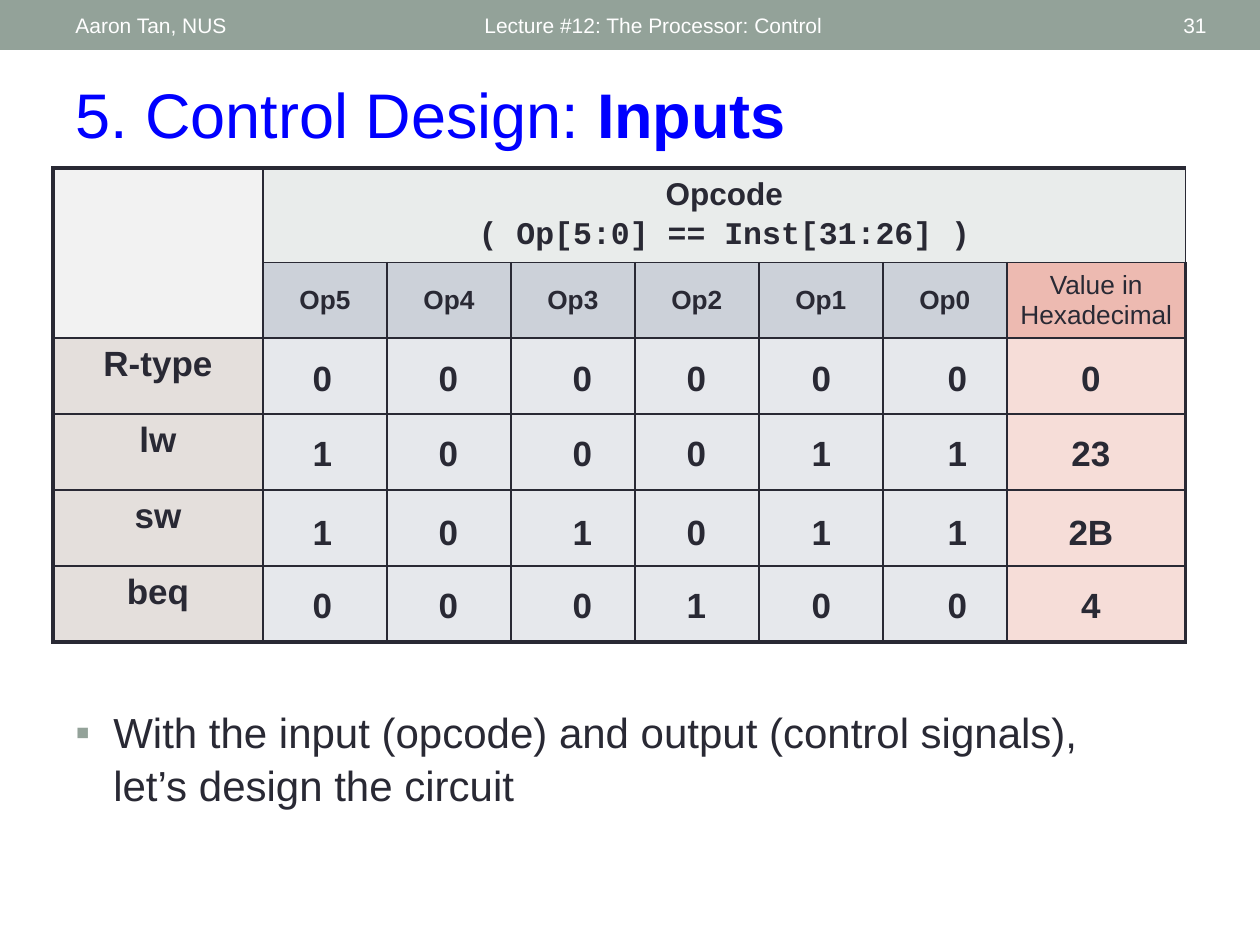
"""Build the slide on opcode inputs for control design."""
import lxml.etree
import pptx
import pptx.dml.color
import pptx.enum.shapes
import pptx.enum.text
import pptx.oxml.ns
import pptx.util

RGBColor = pptx.dml.color.RGBColor
ALIGN = pptx.enum.text.PP_ALIGN
ANCHOR = pptx.enum.text.MSO_ANCHOR
SAGE = RGBColor(0x93, 0xA2, 0x99)
WHITE = RGBColor(0xFF, 0xFF, 0xFF)
BLUE = RGBColor(0x00, 0x00, 0xFF)
INK = RGBColor(0x29, 0x29, 0x34)
CORNER_FILL = RGBColor(0xF2, 0xF2, 0xF2)
OPCODE_FILL = RGBColor(0xE9, 0xEC, 0xEB)
OP_FILL = RGBColor(0xCC, 0xD1, 0xD9)
HEX_HEAD_FILL = RGBColor(0xED, 0xBA, 0xB1)
NAME_FILL = RGBColor(0xE4, 0xDF, 0xDC)
BIT_FILL = RGBColor(0xE6, 0xE8, 0xEC)
HEX_FILL = RGBColor(0xF6, 0xDD, 0xD8)

EMU_PER_PX = 914400 / 126
HEADER = [
    ("Lecture #12: The Processor: Control", (472, 3, 567, 45), ALIGN.LEFT),
    ("Aaron Tan, NUS", (63, 3, 399, 45), ALIGN.LEFT),
    ("31", (1099, 3, 120, 45), ALIGN.RIGHT),
]
TITLE = [("5. Control Design: ", False), ("Inputs", True)]
BULLET = "With the input (opcode) and output (control signals), let’s design the circuit"
OPCODE_HEAD = "Opcode\n( Op[5:0] == Inst[31:26] )"
COLUMN_HEADS = ["Op5", "Op4", "Op3", "Op2", "Op1", "Op0", "Value in Hexadecimal"]
INSTRUCTIONS = [
    ("R-type", "000000", "0", 350),
    ("lw", "100011", "23", 425),
    ("sw", "101011", "2B", 504),
    ("beq", "000100", "4", 577),
]
VALUE_LEFTS = [291, 417, 551, 665, 790, 926, 1048]
VALUE_WIDTHS = [63] * 6 + [86]
COLUMN_WIDTHS = [210] + [124] * 6 + [179]
ROW_HEIGHTS = [90, 72] + [76] * 4


def px(value):
    return pptx.util.Emu(round(value * EMU_PER_PX))


def format_runs(paragraph, size, color, bold=False, font="Arial"):
    for run in paragraph.runs:
        run.font.size = pptx.util.Pt(size)
        run.font.name = font
        run.font.bold = bold
        run.font.color.rgb = color


def add_text(shapes, text, box, size, color, bold=False, align=ALIGN.LEFT, anchor=ANCHOR.TOP):
    shape = shapes.add_textbox(*map(px, box))
    frame = shape.text_frame
    frame.word_wrap = True
    frame.vertical_anchor = anchor
    frame.text = text
    frame.paragraphs[0].alignment = align
    format_runs(frame.paragraphs[0], size, color, bold)
    return frame.paragraphs[0]


def add_element(parent, tag, **attributes):
    return lxml.etree.SubElement(parent, pptx.oxml.ns.qn(tag), attributes)


def set_borders(cell, row, column):
    outer = {
        "a:lnL": column == 0,
        "a:lnR": column == len(COLUMN_WIDTHS) - 1,
        "a:lnT": row == 0,
        "a:lnB": row == len(ROW_HEIGHTS) - 1,
    }
    properties = cell._tc.get_or_add_tcPr()
    for index, (tag, heavy) in enumerate(outer.items()):
        width = pptx.util.Pt(2.25 if heavy else 1)
        line = add_element(properties, tag, w=str(width))
        add_element(add_element(line, "a:solidFill"), "a:srgbClr", val=str(INK))
        properties.insert(index, line)


def fill_cell(cell, text, size, fill, bold=True, anchor=ANCHOR.MIDDLE):
    cell.fill.solid()
    cell.fill.fore_color.rgb = fill
    cell.vertical_anchor = anchor
    cell.text_frame.text = text
    for paragraph in cell.text_frame.paragraphs:
        paragraph.alignment = ALIGN.CENTER
        format_runs(paragraph, size, INK, bold)


def add_opcode_table(slide):
    box = (53, 168, sum(COLUMN_WIDTHS), sum(ROW_HEIGHTS))
    frame = slide.shapes.add_table(len(ROW_HEIGHTS), len(COLUMN_WIDTHS), *map(px, box))
    table = frame.table
    table.first_row = table.horz_banding = False
    for column, width in zip(table.columns, COLUMN_WIDTHS):
        column.width = px(width)
    for row, height in zip(table.rows, ROW_HEIGHTS):
        row.height = px(height)
    table.cell(0, 0).merge(table.cell(1, 0))
    table.cell(0, 1).merge(table.cell(0, 7))

    fill_cell(table.cell(0, 0), "", 18, CORNER_FILL)
    fill_cell(table.cell(0, 1), OPCODE_HEAD, 18, OPCODE_FILL)
    formula = table.cell(0, 1).text_frame.paragraphs[1]
    formula.space_before = pptx.util.Pt(3.6)
    format_runs(formula, 18, INK, True, "Courier New")
    for column, head in enumerate(COLUMN_HEADS, 1):
        is_bit = head.startswith("Op")
        fill_cell(table.cell(1, column), head, 15, OP_FILL if is_bit else HEX_HEAD_FILL, is_bit)
    for row, (name, *_) in enumerate(INSTRUCTIONS, 2):
        fill_cell(table.cell(row, 0), name, 20, NAME_FILL, anchor=ANCHOR.TOP)
        for column in range(1, 8):
            fill_cell(table.cell(row, column), "", 18, BIT_FILL if column < 7 else HEX_FILL)
    for row in range(len(ROW_HEIGHTS)):
        for column in range(len(COLUMN_WIDTHS)):
            set_borders(table.cell(row, column), row, column)


def add_values(slide):
    for _, bits, hexadecimal, top in INSTRUCTIONS:
        group = slide.shapes.add_group_shape()
        for text, left, width in zip([*bits, hexadecimal], VALUE_LEFTS, VALUE_WIDTHS):
            add_text(group.shapes, text, (left, top, width, 55), 20, INK, True, ALIGN.CENTER)


def add_bullet(slide):
    paragraph = add_text(slide.shapes, BULLET, (63, 698, 1082, 111), 24, INK)
    paragraph.line_spacing = 1.05
    properties = paragraph._p.get_or_add_pPr()
    properties.set("marL", str(px(38)))
    properties.set("indent", str(px(-38)))
    add_element(add_element(properties, "a:buClr"), "a:srgbClr", val=str(SAGE))
    add_element(properties, "a:buFont", typeface="Arial")
    add_element(properties, "a:buChar", char="▪")


def main():
    presentation = pptx.Presentation()
    presentation.slide_width, presentation.slide_height = px(1260), px(945)
    slide = presentation.slides.add_slide(presentation.slide_layouts[6])

    band = slide.shapes.add_shape(
        pptx.enum.shapes.MSO_SHAPE.RECTANGLE, *map(px, (0, 0, 1260, 50)))
    band.shadow.inherit = False
    band.fill.solid()
    band.fill.fore_color.rgb = SAGE
    band.line.fill.background()
    for text, box, align in HEADER:
        add_text(slide.shapes, text, box, 12, WHITE, align=align, anchor=ANCHOR.MIDDLE)

    title = add_text(slide.shapes, "", (63, 69, 1134, 89), 36, BLUE)
    for text, bold in TITLE:
        title.add_run().text = text
    format_runs(title, 36, BLUE)
    for run, (_, bold) in zip(title.runs, TITLE):
        run.font.bold = bold

    add_bullet(slide)
    add_opcode_table(slide)
    add_values(slide)
    presentation.save("out.pptx")


if __name__ == "__main__":
    main()
